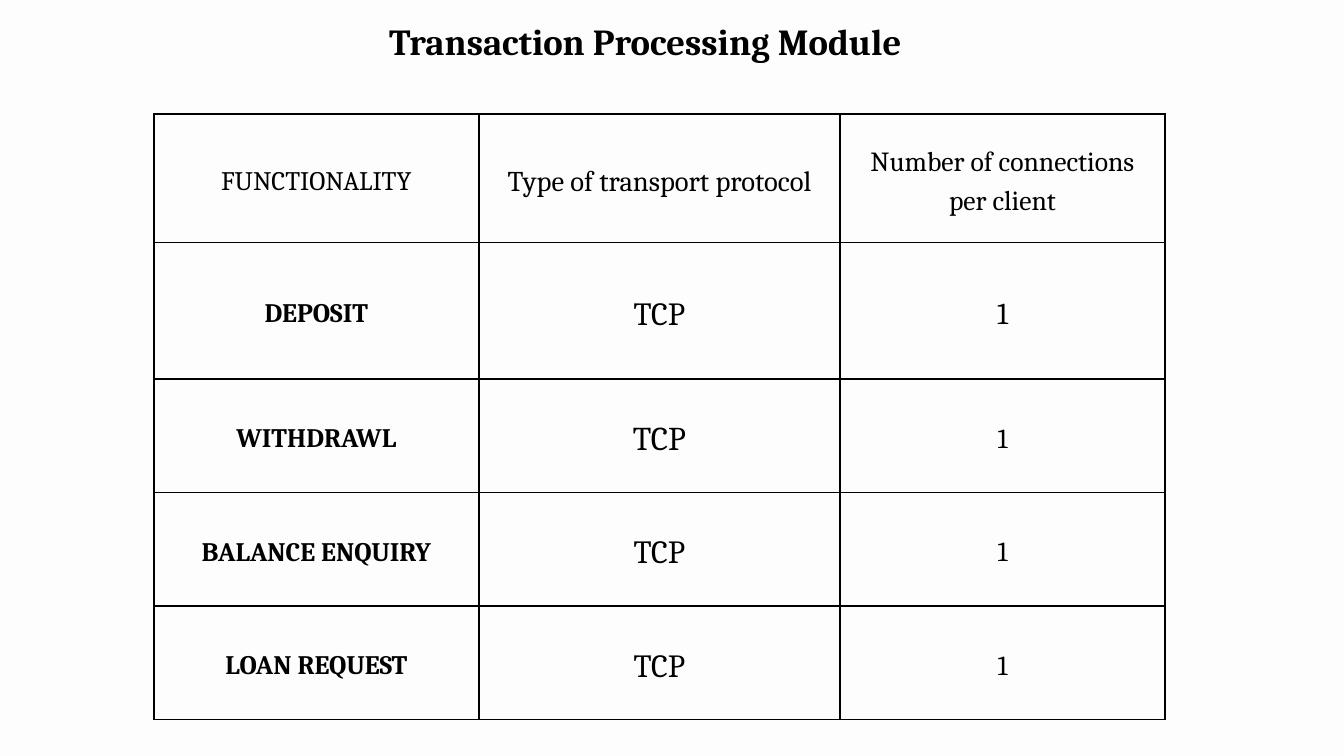
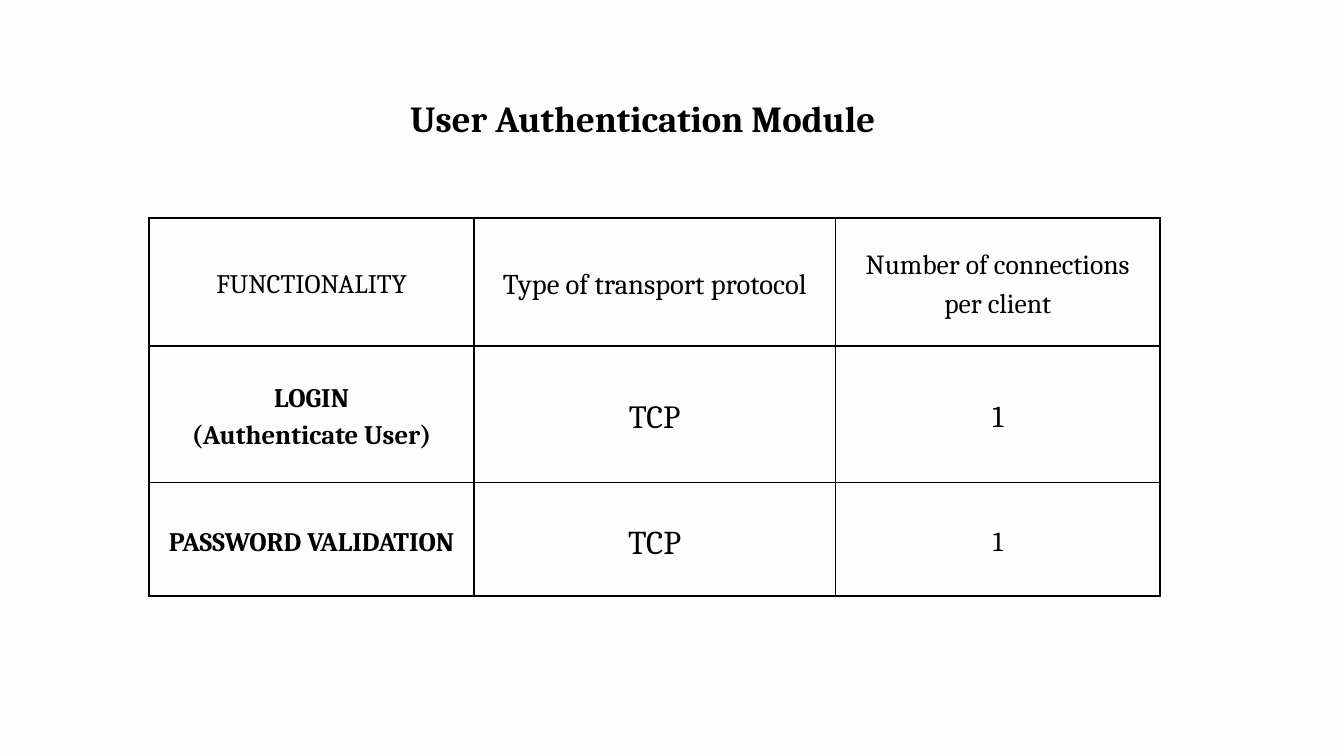
from dataclasses import dataclass

from lxml import etree
from pptx import Presentation
from pptx.dml.color import RGBColor
from pptx.enum.text import MSO_ANCHOR, MSO_AUTO_SIZE, PP_ALIGN
from pptx.oxml.ns import qn
from pptx.util import Cm, Pt

CENTER = PP_ALIGN.CENTER
MIDDLE = MSO_ANCHOR.MIDDLE
TOP = MSO_ANCHOR.TOP
FIT_SHAPE = MSO_AUTO_SIZE.SHAPE_TO_FIT_TEXT


@dataclass(frozen=True)
class Theme:
    ink: str = "000000"
    paper: str = "FDFDFD"
    font: str = "Cambria"
    title_size: float = 39.3
    line_spacing: float = 1.4
    border_width: float = 2.25
    cell_inset: float = 0.53
    # Type sizes by table row: function, protocol, connections
    row_sizes: tuple = (
        (28.6, 30.6, 29.6),
        (28.6, 34.6, 32.6),
        (28.6, 35.6, 29.6),
        (28.6, 34.6, 29.6),
        (28.6, 34.6, 29.6),
    )


theme = Theme()
ink = RGBColor.from_string(theme.ink)

# Shared table grid, in centimetres
column_widths = (12.27, 13.67, 12.27)
row_heights = (4.85, 5.16, 4.29, 4.29, 4.29)
headings = ("FUNCTIONALITY", "Type of transport protocol",
            "Number of connections per client")

# Title, title position, table position, functions
modules = (
    ("Transaction Processing Module", (8.56, 0.43), (5.82, 4.32),
     ("DEPOSIT", "WITHDRAWL", "BALANCE ENQUIRY", "LOAN REQUEST")),
    ("User Authentication Module", (8.46, 3.35), (5.64, 8.23),
     ("LOGIN\n(Authenticate User)", "PASSWORD VALIDATION")),
)


def format_text(frame, size, bold):
    for para in frame.paragraphs:
        para.alignment = CENTER
        para.line_spacing = Pt(round(size * theme.line_spacing, 1))
        for span in para.runs:
            span.font.name = theme.font
            span.font.size = Pt(size)
            span.font.bold = bold
            span.font.color.rgb = ink


def add_borders(cell):
    properties = cell._tc.get_or_add_tcPr()
    for side in ("a:lnL", "a:lnR", "a:lnT", "a:lnB"):
        line = etree.SubElement(properties, qn(side), w=str(Pt(theme.border_width)))
        fill = etree.SubElement(line, qn("a:solidFill"))
        etree.SubElement(fill, qn("a:srgbClr"), val=theme.ink)


deck = Presentation()
deck.slide_width = Cm(50.8)
deck.slide_height = Cm(28.58)

# Background for every slide
background = deck.slide_master.background.fill
background.solid()
background.fore_color.rgb = RGBColor.from_string(theme.paper)
title_only = deck.slide_layouts[5]

for title_text, title_position, table_position, functions in modules:
    slide = deck.slides.add_slide(title_only)

    # Title
    title = slide.shapes.title
    title.left, title.top = (Cm(length) for length in title_position)
    title.width, title.height = Cm(31.67), Cm(1.88)
    frame = title.text_frame
    frame.text = title_text
    frame.margin_left = frame.margin_right = 0
    frame.margin_top = frame.margin_bottom = 0
    frame.vertical_anchor = TOP
    frame.word_wrap = True
    frame.auto_size = FIT_SHAPE
    format_text(frame, theme.title_size, True)

    # Table grid
    rows = [headings] + [(function, "TCP", "1") for function in functions]
    left, top = (Cm(length) for length in table_position)
    table = slide.shapes.add_table(
        len(rows), len(headings), left, top,
        Cm(sum(column_widths)), Cm(sum(row_heights[:len(rows)]))).table
    table.first_row = False
    table.horz_banding = False
    for column, width in zip(table.columns, column_widths):
        column.width = Cm(width)
    for row, height in zip(table.rows, row_heights):
        row.height = Cm(height)

    # Table cells
    for row_index, texts in enumerate(rows):
        for column_index, text in enumerate(texts):
            cell = table.cell(row_index, column_index)
            cell.text_frame.text = text
            cell.vertical_anchor = MIDDLE
            cell.margin_left = cell.margin_right = Cm(theme.cell_inset)
            cell.margin_top = cell.margin_bottom = Cm(theme.cell_inset)
            add_borders(cell)
            cell.fill.background()
            is_function = row_index > 0 and column_index == 0
            format_text(cell.text_frame,
                        theme.row_sizes[row_index][column_index], is_function)

deck.save("out.pptx")
